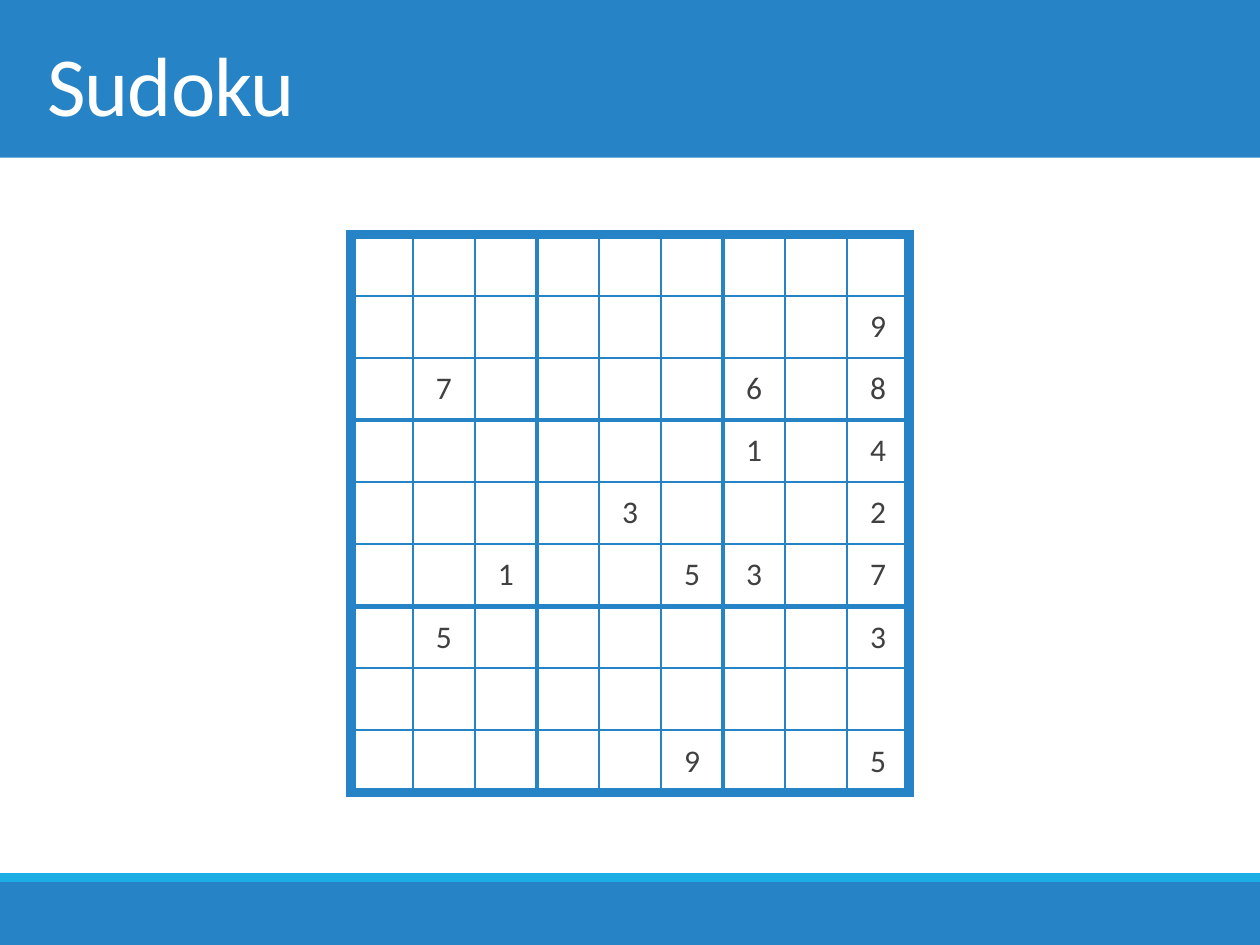
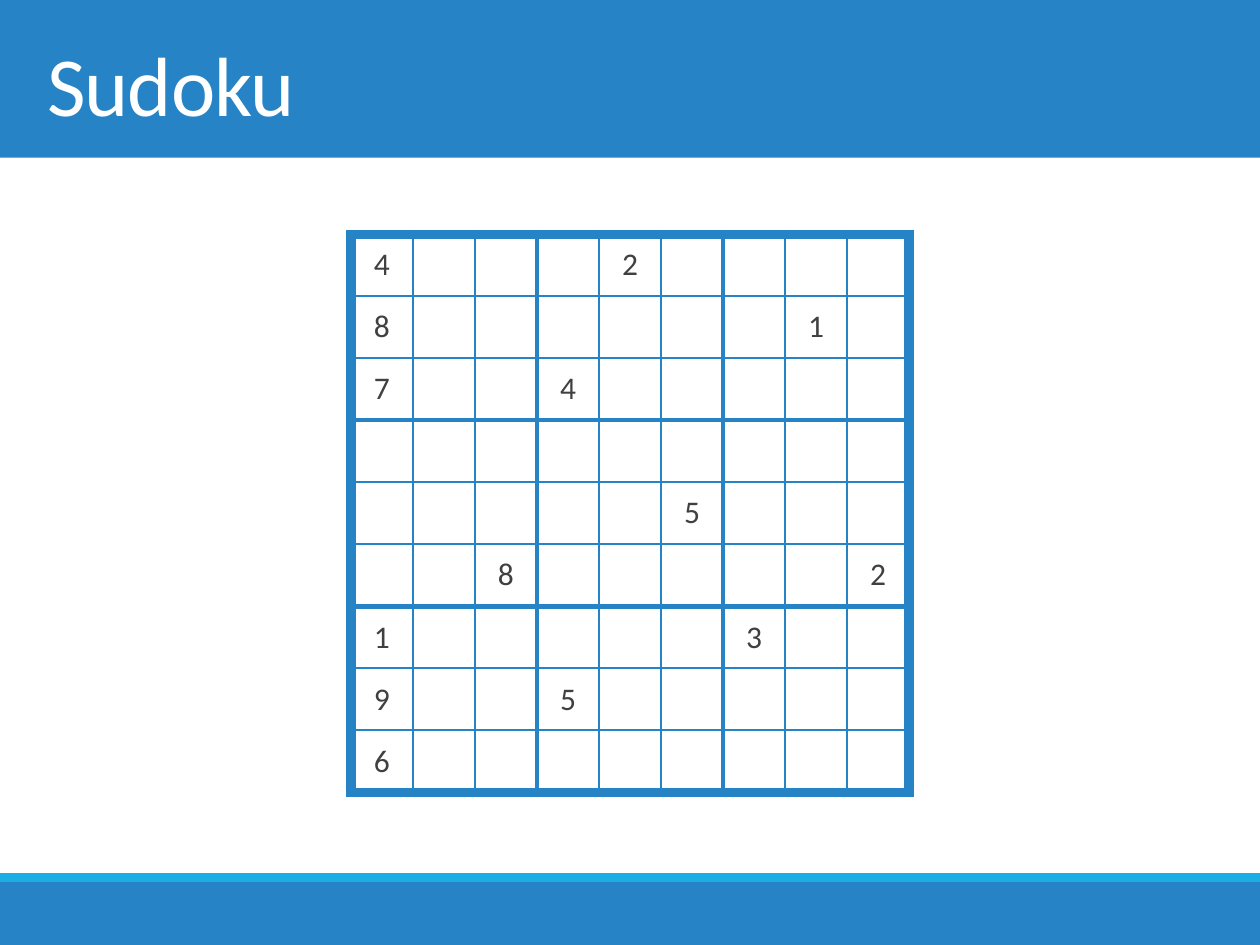
from lxml import etree
from pptx import Presentation
from pptx.dml.color import RGBColor
from pptx.enum.shapes import MSO_SHAPE
from pptx.enum.text import MSO_ANCHOR, PP_ALIGN
from pptx.oxml.ns import qn
from pptx.util import Cm, Pt

RECTANGLE = MSO_SHAPE.RECTANGLE
MIDDLE = MSO_ANCHOR.MIDDLE
LEFT, CENTER = PP_ALIGN.LEFT, PP_ALIGN.CENTER

COLORS = {"blue": "2683C6", "sky": "1CADE4", "white": "FFFFFF", "digit": "404040"}
FONT = "Calibri"

SLIDE_WIDTH, SLIDE_HEIGHT = 25.4, 19.05
HEADER_HEIGHT = 3.18
FOOTER_HEIGHT = 1.45
STRIPE_HEIGHT = 0.18
CELL_SIZE = 1.25
GRID_SIZE = 9
BLOCK_SIZE = 3
GRID_TOP = 4.72

# Line widths in points
OUTER_LINE, BLOCK_LINE, CELL_LINE = 6, 3, 1

# One string per row; a dot is an empty cell
PUZZLES = [
    [
        ".........",
        "........9",
        ".7....6.8",
        "......1.4",
        "....3...2",
        "..1..53.7",
        ".5......3",
        ".........",
        ".....9..5",
    ],
    [
        "4...2....",
        "8......1.",
        "7..4.....",
        ".........",
        ".....5...",
        "..8.....2",
        "1.....3..",
        "9..5.....",
        "6........",
    ],
]


def add_band(slide, left, top, width, height, color):
    """Add a plain filled rectangle."""
    shape = slide.shapes.add_shape(RECTANGLE, Cm(left), Cm(top), Cm(width), Cm(height))
    shape.shadow.inherit = False
    shape.fill.solid()
    shape.fill.fore_color.rgb = RGBColor.from_string(COLORS[color])
    shape.line.fill.background()


def add_text(paragraph, text, size, color, alignment):
    """Add one styled run to a paragraph and return it."""
    paragraph.alignment = alignment
    run = paragraph.add_run()
    run.text = text
    run.font.name = FONT
    run.font.size = Pt(size)
    run.font.color.rgb = RGBColor.from_string(COLORS[color])
    return run


def add_header(slide, left, top, width, height, title):
    """Draw the top band with the title on it."""
    add_band(slide, left, top, width, height, "blue")
    box = slide.shapes.add_textbox(
        Cm(left + 0.7), Cm(top), Cm(width - 1.4), Cm(height)
    )
    frame = box.text_frame
    frame.word_wrap = True
    frame.vertical_anchor = MIDDLE
    frame.margin_top = Cm(0.3)
    run = add_text(frame.paragraphs[0], title, 48, "white", LEFT)
    run.font._element.set("spc", "-50")


def add_footer(slide, left, top, width, height):
    """Draw the bottom band with its light stripe along the top edge."""
    band_top = top + STRIPE_HEIGHT
    add_band(slide, left, band_top, width, height - STRIPE_HEIGHT, "blue")
    add_band(slide, left, top, width, STRIPE_HEIGHT, "sky")


def line_width(index):
    """Return the width of the grid line before the given row or column."""
    if index in (0, GRID_SIZE):
        return OUTER_LINE
    return CELL_LINE if index % BLOCK_SIZE else BLOCK_LINE


def set_borders(cell, row, column):
    """Give a cell the four grid lines around it."""
    properties = cell._tc.get_or_add_tcPr()
    line_indexes = {"a:lnL": column, "a:lnR": column + 1, "a:lnT": row, "a:lnB": row + 1}
    for tag, index in line_indexes.items():
        line = etree.SubElement(properties, qn(tag), w=str(Pt(line_width(index))))
        fill = etree.SubElement(line, qn("a:solidFill"))
        etree.SubElement(fill, qn("a:srgbClr"), val=COLORS["blue"])


def add_sudoku(slide, left, top, size, puzzle):
    """Draw a puzzle as a square table."""
    table = slide.shapes.add_table(
        GRID_SIZE, GRID_SIZE, Cm(left), Cm(top), Cm(size), Cm(size)
    ).table
    table.first_row = False
    table.horz_banding = False
    for column in table.columns:
        column.width = Cm(size / GRID_SIZE)
    for row in table.rows:
        row.height = Cm(size / GRID_SIZE)
    for row_index, digits in enumerate(puzzle):
        for column_index, digit in enumerate(digits):
            cell = table.cell(row_index, column_index)
            set_borders(cell, row_index, column_index)
            cell.fill.background()
            cell.vertical_anchor = MIDDLE
            if digit != ".":
                add_text(cell.text_frame.paragraphs[0], digit, 18, "digit", CENTER)


def add_puzzle_slide(presentation, puzzle):
    """Add a slide with header, footer and one centred puzzle."""
    slide = presentation.slides.add_slide(presentation.slide_layouts[6])
    add_header(slide, 0, 0, SLIDE_WIDTH, HEADER_HEIGHT, "Sudoku")
    add_footer(slide, 0, SLIDE_HEIGHT - FOOTER_HEIGHT, SLIDE_WIDTH, FOOTER_HEIGHT)
    size = CELL_SIZE * GRID_SIZE
    add_sudoku(slide, (SLIDE_WIDTH - size) / 2, GRID_TOP, size, puzzle)


def main():
    """Build and save the presentation."""
    presentation = Presentation()
    presentation.slide_width = Cm(SLIDE_WIDTH)
    presentation.slide_height = Cm(SLIDE_HEIGHT)
    for puzzle in PUZZLES:
        add_puzzle_slide(presentation, puzzle)
    presentation.save("out.pptx")


main()
